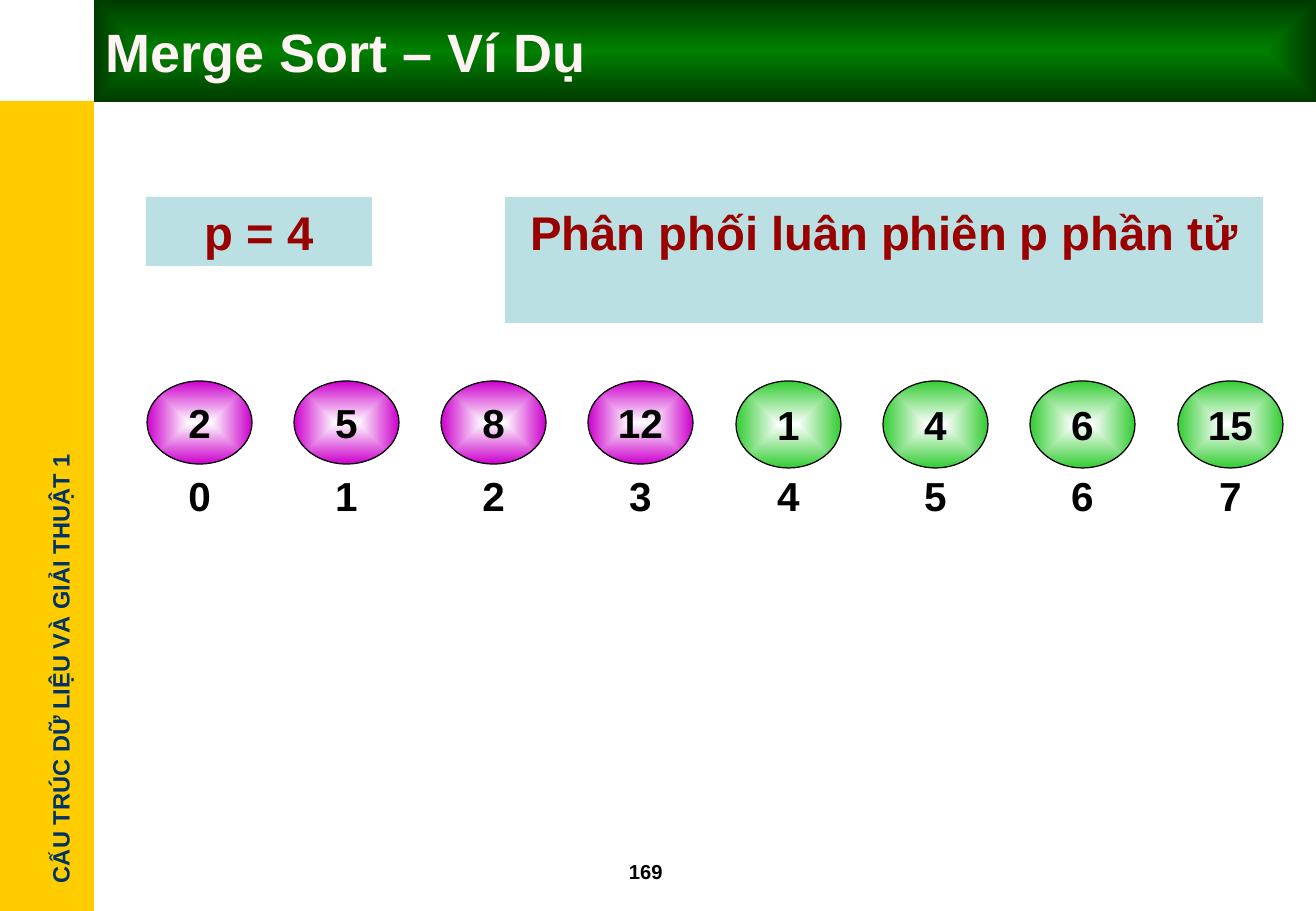
from lxml.etree import SubElement
from pptx import Presentation
from pptx.dml.color import RGBColor
from pptx.enum.shapes import MSO_SHAPE
from pptx.enum.text import MSO_ANCHOR, PP_ALIGN
from pptx.oxml.ns import qn
from pptx.util import Pt

SCALE = 7532


def px(size):
    return size * SCALE


def tint(code):
    return RGBColor.from_string(code)


class Deck:
    style = {"name": "Arial", "bold": True}

    def __init__(self, wide, high):
        self.file = Presentation()
        self.file.slide_width = px(wide)
        self.file.slide_height = px(high)
        self.slide = self.file.slides.add_slide(self.file.slide_layouts[6])

    def shape(self, kind, area, fill=None, line=None):
        item = self.slide.shapes.add_shape(kind, *map(px, area))
        item.shadow.inherit = False
        if fill:
            item.fill.solid()
            item.fill.fore_color.rgb = tint(fill)
        else:
            item.fill.background()
        if line:
            item.line.color.rgb = tint(line)
            item.line.width = Pt(0.75)
        else:
            item.line.fill.background()
        return item

    def blend(self, item, first, last, rect=True):
        item.fill.gradient()
        item.fill.gradient_angle = 0
        for stop, code in zip(item.fill.gradient_stops, (first, last)):
            stop.color.rgb = tint(code)
        if rect:
            grad = item._element.spPr.find(qn("a:gradFill"))
            grad.remove(grad.find(qn("a:lin")))
            inner = SubElement(grad, qn("a:path"), {"path": "rect"})
            SubElement(inner, qn("a:fillToRect"), dict.fromkeys("ltrb", "50000"))

    def put(self, item, text, size, color="000000", align=PP_ALIGN.CENTER,
            anchor=MSO_ANCHOR.MIDDLE, wrap=True):
        frame = item.text_frame
        frame.word_wrap = wrap
        frame.vertical_anchor = anchor
        para = frame.paragraphs[0]
        para.alignment = align
        run = para.add_run()
        run.text = text
        for key, value in {**self.style, "size": Pt(size)}.items():
            setattr(run.font, key, value)
        run.font.color.rgb = tint(color)

    def label(self, area, text, size, color, turn=0, wrap=True):
        item = self.slide.shapes.add_textbox(*map(px, area))
        item.rotation = turn
        self.put(item, text, size, color, PP_ALIGN.LEFT, MSO_ANCHOR.TOP, wrap)

    def panel(self, area, text):
        item = self.shape(MSO_SHAPE.RECTANGLE, area, "BBE0E3")
        self.put(item, text, 28, "990000", anchor=MSO_ANCHOR.TOP)

    def ball(self, area, text, color):
        item = self.shape(MSO_SHAPE.OVAL, area, line="000000")
        self.blend(item, "FFFFFF", color)
        self.put(item, text, 24, wrap=False)

    def index(self, area, text):
        self.put(self.shape(MSO_SHAPE.OVAL, area), text, 24)


def main():
    deck = Deck(1316, 911)
    deck.shape(MSO_SHAPE.RECTANGLE, (0, 101, 94, 810), "FFCC00")
    deck.label((-166, 648, 453, 41), "CẤU TRÚC DỮ LIỆU VÀ GIẢI THUẬT 1",
               14, "003366", 270, False)
    bar = deck.shape(MSO_SHAPE.RECTANGLE, (94, 0, 1222, 101))
    deck.blend(bar, "002F00", "006600", False)
    deck.label((617, 853, 101, 36), "169", 12, "000000")

    title = deck.shape(MSO_SHAPE.RECTANGLE, (94, 0, 1222, 102))
    deck.blend(title, "008000", "003B00")
    deck.put(title, "Merge Sort – Ví Dụ", 32, "FFF3F3", PP_ALIGN.LEFT)

    deck.panel((146, 197, 226, 69), "p = 4")
    deck.panel((505, 197, 758, 126), "Phân phối luân phiên p phần tử")

    runs = [("CC00CC", 83, (2, 5, 8, 12)), ("33CC33", 87, (1, 4, 6, 15))]
    balls = [(color, high, num) for color, high, nums in runs for num in nums]
    for spot, (color, high, num) in enumerate(balls):
        left = 147 + spot * 1031 // 7
        deck.ball((left, 381, 105, high), str(num), color)
        deck.index((left, 452, 105, 86), str(spot))

    deck.file.save("out.pptx")


if __name__ == "__main__":
    main()
